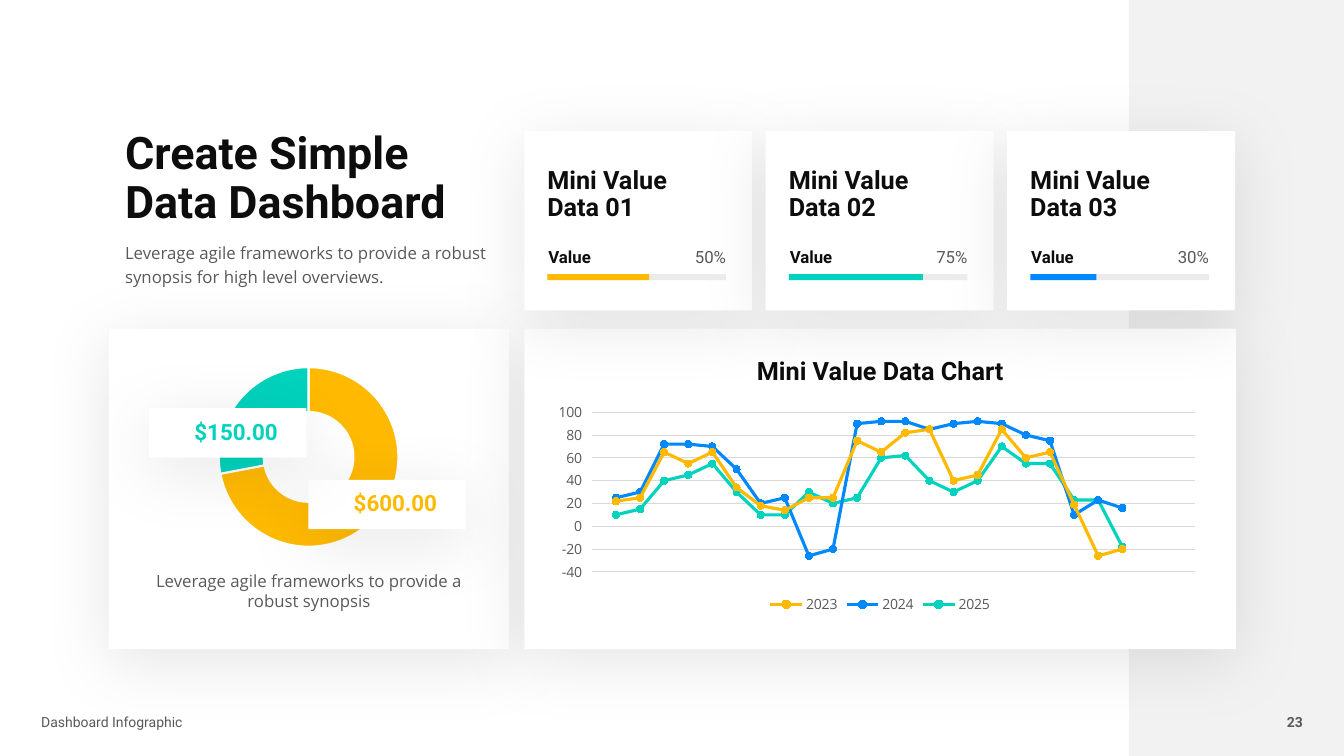
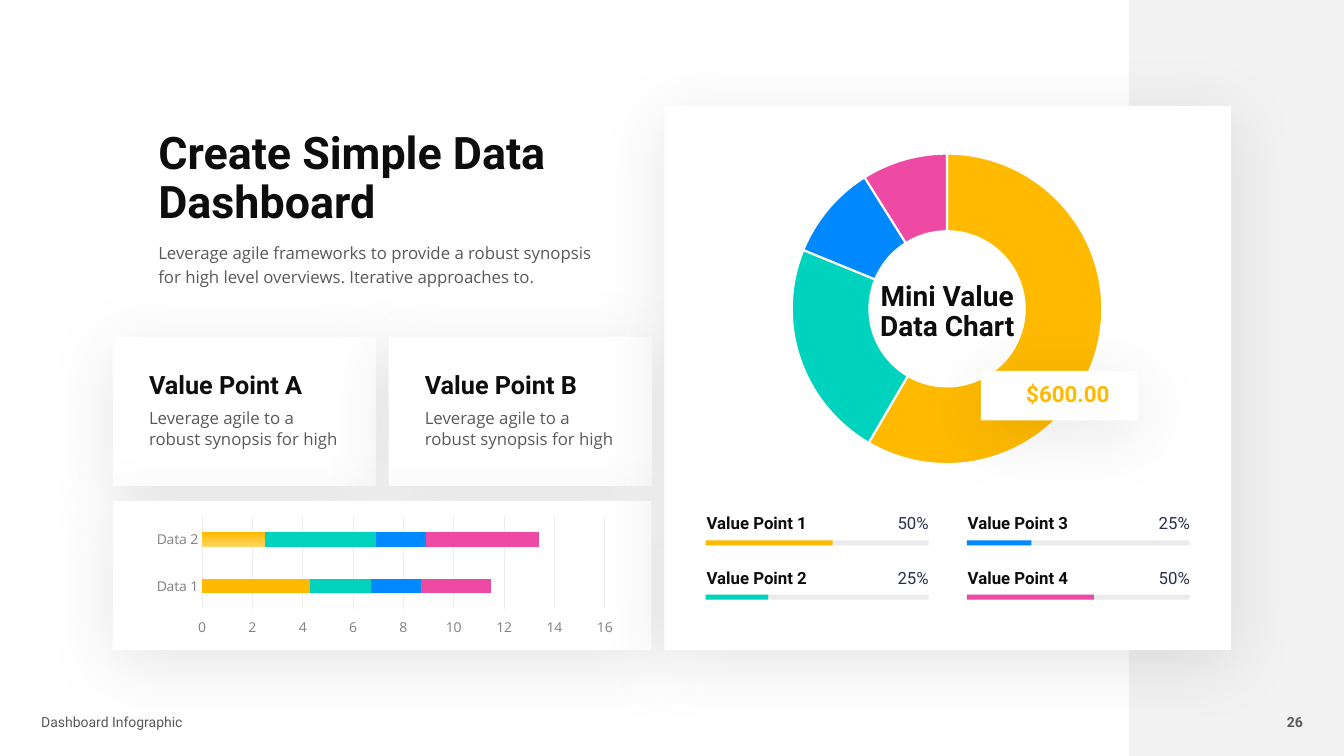
"""Build two dashboard slides with cards, meters and native charts."""
from pptx import Presentation
from pptx.chart.data import CategoryChartData as CatData, XyChartData as XyData
from pptx.dml.color import RGBColor as RGB
from pptx.enum.chart import (XL_CHART_TYPE as KIND, XL_LEGEND_POSITION as LEG,
                             XL_MARKER_STYLE as MARK, XL_TICK_MARK as TICK,
                             XL_TICK_LABEL_POSITION as TLP)
from pptx.enum.shapes import MSO_SHAPE as SHAPE
from pptx.enum.text import MSO_ANCHOR as ANC, MSO_AUTO_SIZE as AUTO, PP_ALIGN as AL
from pptx.oxml import parse_xml
from pptx.oxml.ns import nsdecls, qn
from pptx.util import Inches, Pt

WIDE, HIGH = 13.33, 7.5
HEAD, BODY = "Roboto", "Open Sans"
INK, GREY, NAVY, DIM = "0D0D0D", "595959", "282F4E", "808080"
WHITE, BAND, TRACK, FAINT, GRID = "FFFFFF", "F2F2F2", "EBEBEB", "EDEDED", "D9D9D9"
GOLD, TEAL, BLUE, PINK = HUES = ["FFBA00", "00D3BD", "0088FF", "EE4AA4"]

TITLE = "Create Simple Data Dashboard"
FOOT = "Dashboard Infographic"
LEAD = "Leverage agile frameworks to provide a robust synopsis for high level overviews."
MINIS = [("Mini Value Data 01", "50%", 0.57, GOLD),
         ("Mini Value Data 02", "75%", 0.75, TEAL),
         ("Mini Value Data 03", "30%", 0.37, BLUE)]
YEARS = [
    ("2023", GOLD, [22, 25, 65, 55, 65, 34, 18, 14, 25, 25, 75, 65, 82, 85, 40, 45,
                    85, 60, 65, 19, -26, -20]),
    ("2024", BLUE, [25, 30, 72, 72, 70, 50, 20, 25, -26, -20, 90, 92, 92, 85, 90, 92,
                    90, 80, 75, 10, 23, 16]),
    ("2025", TEAL, [10, 15, 40, 45, 55, 30, 10, 10, 30, 20, 25, 60, 62, 40, 30, 40,
                    70, 55, 55, 23, 23, -18])]
POINTS = [("Value Point 1", "50%", 0.57, GOLD), ("Value Point 2", "25%", 0.28, TEAL),
          ("Value Point 3", "25%", 0.29, BLUE), ("Value Point 4", "50%", 0.57, PINK)]
NOTES = ["Value Point A", "Value Point B"]
NOTE = "Leverage agile to a robust synopsis for high"
STACK = [[4.3, 2.5], [2.4, 4.4], [2, 2], [2.8, 4.5]]


def rgb(hue):
    return RGB.from_string(hue)


def place(shape, box):
    shape.left, shape.top, shape.width, shape.height = map(Inches, box)


def style(font, size, hue, face=BODY, bold=False):
    font.size, font.name, font.bold = Pt(size), face, bold
    font.color.rgb = rgb(hue)


def write(frame, words, size, hue, face=BODY, bold=False, align=AL.LEFT, gap=1.0,
          anchor=ANC.TOP):
    frame.word_wrap, frame.auto_size = True, AUTO.NONE
    frame.vertical_anchor = anchor
    para = frame.paragraphs[0]
    para.alignment, para.line_spacing = align, gap
    para.space_before = Pt(0)
    run = para.add_run()
    run.text = words
    style(run.font, size, hue, face, bold)
    return para


def text(sld, box, words, size, hue, **more):
    write(sld.shapes.add_textbox(*map(Inches, box)).text_frame, words, size, hue, **more)


def head(sld, box, words, size, hue=INK, **more):
    text(sld, box, words, size, hue, face=HEAD, bold=True, gap=0.9, **more)


def rect(sld, box, hue):
    shape = sld.shapes.add_shape(SHAPE.RECTANGLE, *map(Inches, box))
    shape.shadow.inherit = False
    shape.fill.solid()
    shape.fill.fore_color.rgb = rgb(hue)
    shape.line.fill.background()
    return shape


def card(sld, box):
    glow = rect(sld, box, WHITE).element.spPr.find(qn("a:effectLst"))
    glow.append(parse_xml(
        f'<a:outerShdw {nsdecls("a")} blurRad="{Pt(50)}" dist="{Pt(9)}" dir="5400000" '
        'algn="t" rotWithShape="0"><a:srgbClr val="000000"><a:alpha val="10000"/>'
        '</a:srgbClr></a:outerShdw>'))


def tag(sld, x, y, words, hue):
    card(sld, (x, y, 1.56, 0.49))
    head(sld, (x + 0.35, y, 1.05, 0.49), words, 16, hue, anchor=ANC.MIDDLE)


def meter(sld, x, y, w, h, label, pct, share, hue, tone):
    rect(sld, (x, y, w, h), TRACK)
    rect(sld, (x, y, w * share, h), hue)
    text(sld, (x - 0.09, y - 0.32, 1.6, 0.3), label, 12, INK, face=HEAD, bold=True,
         anchor=ANC.BOTTOM)
    text(sld, (x + w - 0.96, y - 0.32, 1.06, 0.3), pct, 12, tone, face=HEAD,
         align=AL.RIGHT, anchor=ANC.BOTTOM)


def chart(sld, kind, box, data, plot, hue):
    made = sld.shapes.add_chart(kind, *map(Inches, box), data).chart
    made.has_title = made.has_legend = False
    style(made.font, 10, hue)
    area = made.element.find(".//" + qn("c:plotArea"))
    for old in area.findall(qn("c:layout")):
        area.remove(old)
    sides = "".join(f'<c:{k} val="{v}"/>' for k, v in zip("xywh", plot))
    area.insert(0, parse_xml(
        f'<c:layout {nsdecls("c")}><c:manualLayout><c:layoutTarget val="inner"/>'
        f'<c:xMode val="edge"/><c:yMode val="edge"/>{sides}</c:manualLayout></c:layout>'))
    return made


def ring(sld, box, vals, plot, hole):
    data = CatData()
    data.categories = [str(i + 1) for i in range(len(vals))]
    data.add_series("Series 1", vals)
    made = chart(sld, KIND.DOUGHNUT, box, data, plot, DIM)
    made.element.find(".//" + qn("c:holeSize")).set("val", str(hole))
    for i, hue in enumerate(HUES[:len(vals)]):
        part = made.plots[0].series[0].points[i].format
        part.fill.solid()
        part.fill.fore_color.rgb = rgb(hue)
        part.line.color.rgb, part.line.width = rgb(WHITE), Pt(1.5)


def scale(axis, low, high, step, hue, grid):
    axis.minimum_scale, axis.maximum_scale, axis.major_unit = low, high, step
    axis.major_tick_mark = axis.minor_tick_mark = TICK.NONE
    axis.tick_label_position = TLP.LOW
    axis.has_major_gridlines = True
    line = axis.major_gridlines.format.line
    line.color.rgb, line.width = rgb(grid), Pt(0.75)
    axis.format.line.fill.background()
    style(axis.tick_labels.font, 10, hue)


def curves(sld, box):
    data = XyData()
    for name, _, vals in YEARS:
        row = data.add_series(name)
        for x, y in enumerate(vals, 1):
            row.add_data_point(x, y)
    made = chart(sld, KIND.XY_SCATTER_SMOOTH, box, data, (0.06, 0.06, 0.92, 0.73), GREY)
    flat = made.category_axis
    flat.minimum_scale, flat.maximum_scale = 0, 25
    flat.has_major_gridlines = flat.visible = False
    scale(made.value_axis, -40, 100, 20, GREY, GRID)
    made.has_legend = True
    made.legend.position, made.legend.include_in_layout = LEG.BOTTOM, False
    style(made.legend.font, 10, GREY)
    made.plots[0].vary_by_categories = False
    for row, (_, hue, _) in zip(made.plots[0].series, YEARS):
        row.smooth = True
        row.format.line.color.rgb, row.format.line.width = rgb(hue), Pt(2.25)
        row.marker.style, row.marker.size = MARK.CIRCLE, 5
        row.marker.format.fill.solid()
        row.marker.format.fill.fore_color.rgb = rgb(hue)
        row.marker.format.line.fill.background()


def bars(sld, box):
    data = CatData()
    data.categories = ["Data 1", "Data 2"]
    for i, vals in enumerate(STACK, 1):
        data.add_series(f"Series {i}", vals)
    made = chart(sld, KIND.BAR_STACKED, box, data, (0.12, 0.02, 0.85, 0.78), DIM)
    plot = made.plots[0]
    plot.gap_width, plot.overlap, plot.vary_by_categories = 219, 100, False
    scale(made.value_axis, 0, 16, 2, DIM, FAINT)
    side = made.category_axis
    side.major_tick_mark = side.minor_tick_mark = TICK.NONE
    side.format.line.color.rgb, side.format.line.width = rgb(FAINT), Pt(0.5)
    style(side.tick_labels.font, 10, DIM)
    for row, hue in zip(plot.series, HUES):
        row.format.fill.solid()
        row.format.fill.fore_color.rgb = rgb(hue)
    fade = plot.series[0].points[1].format.fill
    fade.gradient()
    fade.gradient_angle = 270
    for stop, hue in zip(fade.gradient_stops, (GOLD, "FFD666")):
        stop.color.rgb = rgb(hue)


def base(deck, page, x, wide, long, lead):
    sld = deck.slides.add_slide(deck.slide_layouts[1])
    title, body = sld.placeholders
    rect(sld, (WIDE * 0.84, 0, WIDE * 0.16, HIGH), BAND)
    text(sld, (0.31, 7.03, 2.79, 0.27), FOOT, 10, GREY, face=HEAD)
    text(sld, (12.25, 7.03, 0.77, 0.27), page, 10, GREY, face=HEAD, bold=True,
         align=AL.RIGHT)
    place(title, (x, 1.25, wide, 1.07))
    write(title.text_frame, TITLE, 32, INK, face=HEAD, bold=True, gap=0.9)
    place(body, (x, 2.32, long, 0.57))
    props = write(body.text_frame, lead, 12, GREY, gap=1.2)._p.get_or_add_pPr()
    props.set("marL", "0")
    props.set("indent", "0")
    props.append(parse_xml(f'<a:buNone {nsdecls("a")}/>'))
    return sld


def first(deck):
    sld = base(deck, "23", 1.14, 3.85, 3.85, LEAD)
    left, top, tall = 5.2, 3.26, 3.18
    card(sld, (1.08, top, 3.97, tall))
    card(sld, (left, top, 7.06, tall))
    curves(sld, (5.48, 3.96, 6.5, 2.17))
    head(sld, (6.87, 3.51, 3.72, 0.37), "Mini Value Data Chart", 18, align=AL.CENTER)
    cols = [left + 2.395 * i for i in range(len(MINIS))]
    for x in cols:
        card(sld, (x, 1.3, 2.26, 1.78))
    ring(sld, (1.85, 3.58, 2.42, 1.91), [72, 28], (0.036, 0.033, 0.929, 0.933), 60)
    tag(sld, 3.06, 4.76, "$600.00", GOLD)
    tag(sld, 1.48, 4.05, "$150.00", TEAL)
    text(sld, (1.44, 5.61, 3.25, 0.5),
         "Leverage agile frameworks to provide a robust synopsis", 12, GREY,
         align=AL.CENTER)
    for x, (name, pct, share, hue) in zip(cols, MINIS):
        meter(sld, x + 0.23, 2.72, 1.77, 0.06, "Value", pct, share, hue, GREY)
        head(sld, (x + 0.13, 1.61, 1.43, 0.65), name, 18)


def second(deck):
    sld = base(deck, "26", 1.47, 4.1, 4.71, LEAD + " Iterative approaches to.")
    left, tall = 1.12, 1.48
    cols = [left + 2.735 * i for i in range(len(NOTES))]
    for x in cols:
        card(sld, (x, 3.34, 2.61, tall))
    card(sld, (left, 4.97, 5.34, tall))
    card(sld, (6.59, 1.05, 5.62, 5.4))
    ring(sld, (7.5, 1.46, 3.79, 3.62), [59, 23, 10, 9], (0.068, 0.018, 0.863, 0.851), 75)
    head(sld, (8.59, 2.75, 1.61, 0.71), "Mini Value Data Chart", 20, align=AL.CENTER)
    for i, (name, pct, share, hue) in enumerate(POINTS):
        col, row = divmod(i, 2)
        meter(sld, 7 + 2.59 * col, 5.36 + 0.54 * row, 2.21, 0.05, name, pct, share,
              hue, NAVY)
    tag(sld, 9.73, 3.68, "$600.00", GOLD)
    for x, name in zip(cols, NOTES):
        head(sld, (x + 0.26, 3.65, 2.02, 0.37), name, 18)
        text(sld, (x + 0.26, 4, 2.09, 0.5), NOTE, 12, GREY)
    bars(sld, (1.44, 5.1, 4.7, 1.22))


def main():
    deck = Presentation()
    deck.slide_width, deck.slide_height = Inches(WIDE), Inches(HIGH)
    first(deck)
    second(deck)
    deck.save("out.pptx")


if __name__ == "__main__":
    main()
